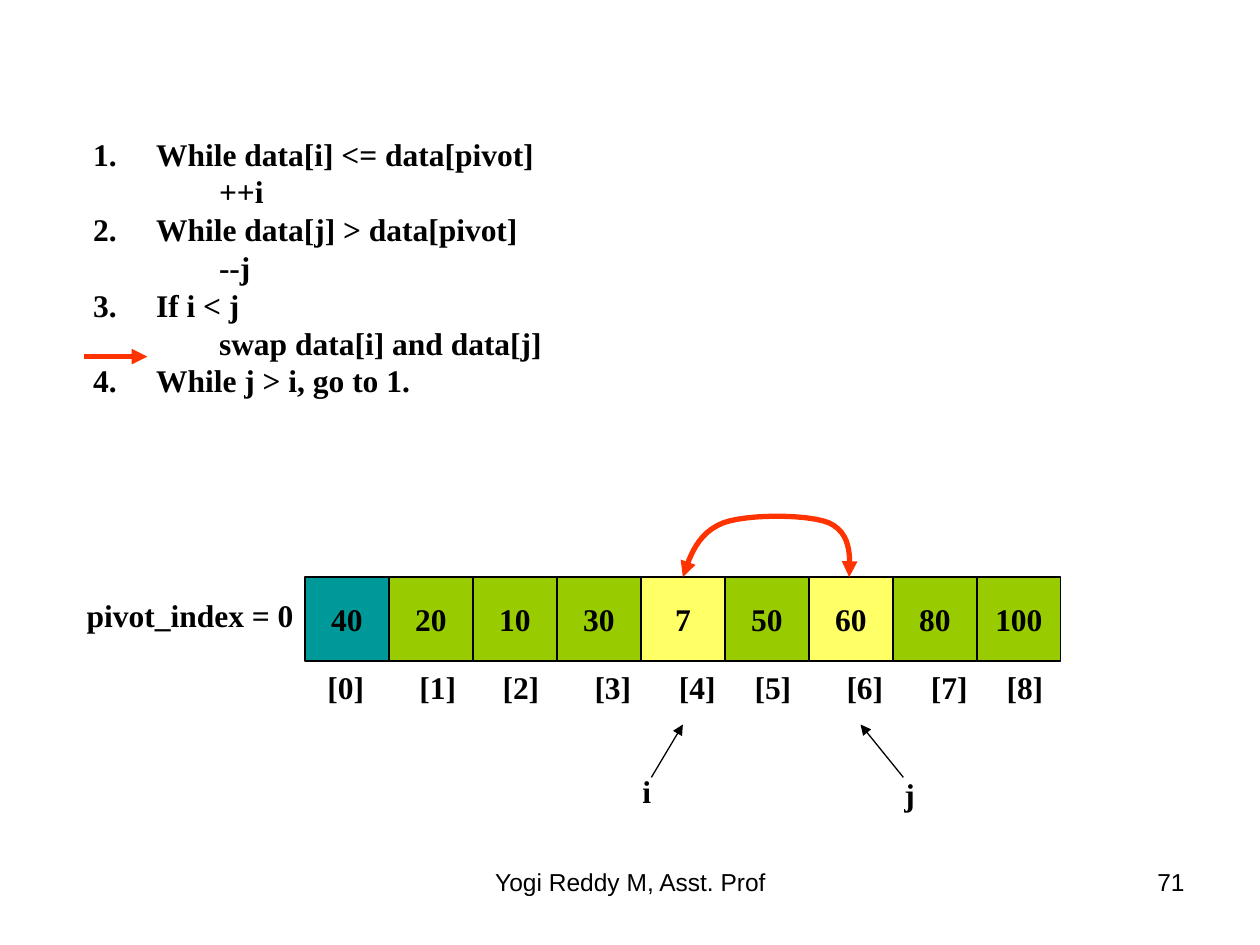
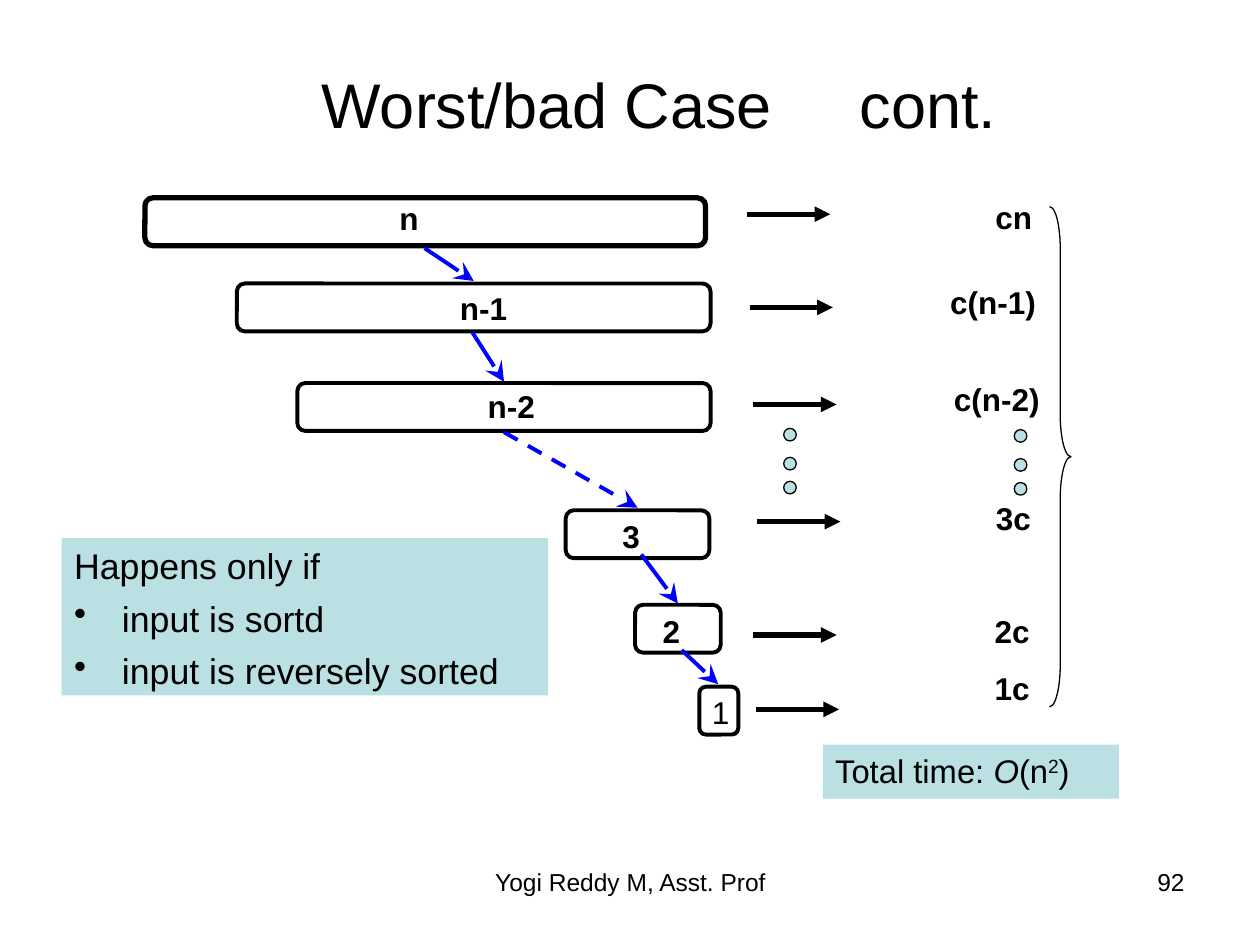
"""Build two quicksort slides: a partition step and the worst-case cost."""
import dataclasses

import lxml.etree
import pptx
import pptx.dml.color
import pptx.enum.dml
import pptx.enum.shapes
import pptx.enum.text
import pptx.oxml.ns
import pptx.util

Inches = pptx.util.Inches
Pt = pptx.util.Pt
RGBColor = pptx.dml.color.RGBColor
ALIGN = pptx.enum.text.PP_ALIGN
ANCHOR = pptx.enum.text.MSO_ANCHOR
SHAPE = pptx.enum.shapes.MSO_SHAPE
qn = pptx.oxml.ns.qn


@dataclasses.dataclass(frozen=True)
class Theme:
    """Colours, fonts and type sizes."""
    black: str = "000000"
    pivot: str = "009999"
    cell: str = "99CC00"
    swapped: str = "FFFF66"
    red: str = "FF3300"
    blue: str = "0000FF"
    pale: str = "BBE0E3"
    sans: str = "Arial"
    serif: str = "Times New Roman"
    title_size: float = 36
    note_size: float = 20.4
    total_size: float = 18.7
    body_size: float = 18
    footer_size: float = 14


theme = Theme()


def add_box(slide, lines, at, size=theme.body_size, font=theme.sans, bold=False,
            align=ALIGN.LEFT, anchor=ANCHOR.TOP, kind=None, fill=None, line=None,
            wrap=True, inset=(0.1, 0.05)):
    """Add a text box, or a preset shape when kind is given."""
    area = [Inches(value) for value in at]
    if kind is None:
        shape = slide.shapes.add_textbox(*area)
    else:
        shape = slide.shapes.add_shape(kind, *area)
        shape.shadow.inherit = False
        if fill:
            shape.fill.solid()
            shape.fill.fore_color.rgb = RGBColor.from_string(fill)
        else:
            shape.fill.background()
        if line:
            shape.line.color.rgb = RGBColor.from_string(theme.black)
            shape.line.width = Pt(line)
        else:
            shape.line.fill.background()
    frame = shape.text_frame
    frame.word_wrap = wrap
    frame.vertical_anchor = anchor
    frame.margin_left = frame.margin_right = Inches(inset[0])
    frame.margin_top = frame.margin_bottom = Inches(inset[1])
    for index, (text, bullet, indent) in enumerate(lines):
        paragraph = frame.paragraphs[0] if index == 0 else frame.add_paragraph()
        paragraph.text = text
        paragraph.alignment = align
        properties = paragraph._p.get_or_add_pPr()
        properties.set("marL", str(Inches(indent)))
        properties.set("indent", str(-Inches(indent) if bullet else 0))
        if isinstance(bullet, int):
            lxml.etree.SubElement(properties, qn("a:buAutoNum"), type="arabicPeriod",
                                  startAt=str(bullet))
        elif bullet:
            lxml.etree.SubElement(properties, qn("a:buChar"), char=bullet)
        else:
            lxml.etree.SubElement(properties, qn("a:buNone"))
        paragraph.font.size = Pt(size)
        paragraph.font.name = font
        paragraph.font.bold = bold
        paragraph.font.color.rgb = RGBColor.from_string(theme.black)
    return shape


def add_arrow(slide, points, color, width, tip="triangle", tip_size="med",
              both_ends=False, dashed=False):
    """Add an arrow through the points: straight for two, else a freeform."""
    points = [(Inches(x), Inches(y)) for x, y in points]
    if len(points) == 2:
        arrow = slide.shapes.add_connector(
            pptx.enum.shapes.MSO_CONNECTOR.STRAIGHT, *points[0], *points[1])
    else:
        builder = slide.shapes.build_freeform(*points[0])
        builder.add_line_segments(points[1:], close=False)
        arrow = builder.convert_to_shape()
        arrow.fill.background()
    arrow.line.color.rgb = RGBColor.from_string(color)
    arrow.line.width = Pt(width)
    if dashed:
        arrow.line.dash_style = pptx.enum.dml.MSO_LINE.DASH
    outline = arrow.line._get_or_add_ln()
    for end in ("a:headEnd", "a:tailEnd") if both_ends else ("a:tailEnd",):
        lxml.etree.SubElement(outline, qn(end), type=tip, w=tip_size, len=tip_size)
    lxml.etree.SubElement(arrow._element.spPr, qn("a:effectLst"))


presentation = pptx.Presentation()
presentation.slide_width = Inches(10)
presentation.slide_height = Inches(7.5)
partition_slide, worst_slide = [
    presentation.slides.add_slide(presentation.slide_layouts[6]) for _ in range(2)]
for slide, number in ((partition_slide, "71"), (worst_slide, "92")):
    add_box(slide, [("Yogi Reddy M, Asst. Prof", None, 0)], (3.42, 6.83, 3.17, 0.52),
            theme.footer_size, align=ALIGN.CENTER)
    add_box(slide, [(number, None, 0)], (7.17, 6.83, 2.33, 0.52),
            theme.footer_size, align=ALIGN.RIGHT)

steps = [
    ("While data[i] <= data[pivot]", 1, 0.5),
    ("++i", None, 1),
    ("While data[j] > data[pivot]", 2, 0.5),
    ("--j", None, 1),
    ("If i < j", 3, 0.5),
    ("swap data[i] and data[j]", None, 1),
    ("While j > i, go to 1.", 4, 0.5),
]
add_box(partition_slide, steps, (0.64, 1.02, 4.76, 3.1), font=theme.serif, bold=True)

cell_size = 2 / 3
cell_fills = {0: theme.pivot, 4: theme.swapped, 6: theme.swapped}
values = [40, 20, 10, 30, 7, 50, 60, 80, 100]
index_lefts = [2.5, 3.23, 3.89, 4.62, 5.29, 5.89, 6.62, 7.29, 7.89]
for index, (value, index_left) in enumerate(zip(values, index_lefts)):
    add_box(partition_slide, [(str(value), None, 0)],
            (2.42 + index * cell_size, 4.58, cell_size, cell_size), font=theme.serif,
            bold=True, align=ALIGN.CENTER, anchor=ANCHOR.MIDDLE, kind=SHAPE.RECTANGLE,
            fill=cell_fills.get(index, theme.cell), line=0.75, wrap=False)
    add_box(partition_slide, [(f"[{index}]", None, 0)], (index_left, 5.25, 0.49, 0.4),
            font=theme.serif, bold=True, wrap=False)

for text, at in (
    ("pivot_index = 0", (0.59, 4.68, 1.84, 0.4)),
    ("i", (5, 6.08, 0.42, 0.4)),
    ("j", (7.08, 6.1, 0.33, 0.4)),
):
    add_box(partition_slide, [(text, None, 0)], at, font=theme.serif, bold=True, wrap=False)

add_arrow(partition_slide, [(7.17, 6.17), (6.83, 5.75)], theme.black, 0.75)
add_arrow(partition_slide, [(5.17, 6.17), (5.42, 5.75)], theme.black, 0.75)
add_arrow(partition_slide, [(0.67, 2.83), (1.17, 2.83)], theme.red, 3)

swap_curves = [
    ((5.42, 4.58), (5.48, 4.4), (5.54, 4.23), (5.74, 4.15)),
    ((5.74, 4.15), (5.93, 4.08), (6.41, 4.08), (6.58, 4.15)),
    ((6.58, 4.15), (6.75, 4.23), (6.75, 4.4), (6.74, 4.58)),
]
swap_points = [swap_curves[0][0]]
for curve in swap_curves:
    for step in range(1, 13):
        t = step / 12
        weights = ((1 - t) ** 3, 3 * t * (1 - t) ** 2, 3 * t ** 2 * (1 - t), t ** 3)
        swap_points.append(tuple(
            sum(weight * point[axis] for weight, point in zip(weights, curve))
            for axis in (0, 1)))
add_arrow(partition_slide, swap_points, theme.red, 3, both_ends=True)

title = add_box(worst_slide, [("Worst/bad Case", None, 0)], (1.09, 0.39, 8.28, 0.78),
                theme.title_size, align=ALIGN.CENTER, anchor=ANCHOR.BOTTOM)
gap, continuation = [title.text_frame.paragraphs[0].add_run() for _ in range(2)]
gap.text = " "
gap._r.get_or_add_rPr().set("spc", "4000")
continuation.text = "cont."

calls = [
    ("n", (1.15, 1.57, 4.45), (3.17, 1.58), 3, True),
    ("n-1", (1.88, 2.25, 3.76), (3.65, 2.29), 2.25, True),
    ("n-2", (2.36, 3.04, 3.28), (3.87, 3.07), 2.25, True),
    ("3", (4.49, 4.05, 1.14), (4.94, 4.1), 2.25, True),
    ("2", (5.04, 4.8, 0.68), (5.26, 4.86), 2.25, True),
    ("1", (5.55, 5.45, 0.31), (5.65, 5.5), 2.25, False),
]
for text, bar, label, line, bold in calls:
    add_box(worst_slide, [], (*bar, 0.38), kind=SHAPE.ROUNDED_RECTANGLE, line=line)
    add_box(worst_slide, [(text, None, 0)], (*label, 0.56, 0.3), bold=bold,
            wrap=False, inset=(0, 0))

for start, end, dashed in (
    ((3.37, 1.97), (3.76, 2.23), False),
    ((3.75, 2.64), (4, 3.03), False),
    ((4, 3.43), (5.06, 4.03), True),
    ((5.09, 4.4), (5.38, 4.79), False),
    ((5.41, 5.16), (5.7, 5.43), False),
):
    add_arrow(worst_slide, [start, end], theme.blue, 2.25, "stealth", "lg", dashed=dashed)

costs = [
    ("cn", (6.81, 1.52, 1.48), (5.93, 1.7)),
    ("c(n-1)", (7.44, 2.2, 0.88), (5.95, 2.44)),
    ("c(n-2)", (7.47, 2.97, 0.88), (5.98, 3.21)),
    ("3c", (7.8, 3.91, 0.48), (6.01, 4.14)),
    ("2c", (7.79, 4.81, 0.48), (5.98, 5.04)),
    ("1c", (7.79, 5.26, 0.48), (6, 5.63)),
]
for text, label, (x, y) in costs:
    add_arrow(worst_slide, [(x, y), (x + 0.66, y)], theme.black, 3)
    add_box(worst_slide, [(text, None, 0)], (*label, 0.4), bold=True,
            align=ALIGN.RIGHT, wrap=text == "cn")

for left, top in ((6.22, 3.4), (8.05, 3.41)):
    for offset in (0, 0.23, 0.42):
        add_box(worst_slide, [], (left, top + offset, 0.1, 0.1), kind=SHAPE.OVAL,
                fill=theme.pale, line=0.75)

brace = add_box(worst_slide, [], (8.33, 1.64, 0.17, 3.97), kind=SHAPE.RIGHT_BRACE, line=0.75)
brace.adjustments[0] = 1.95

conditions = [
    ("Happens only if", None, 0),
    ("input is sortd", "•", 0.38),
    ("input is reversely sorted", "•", 0.38),
]
note = add_box(worst_slide, conditions, (0.49, 4.27, 3.86, 1.25), theme.note_size,
               kind=SHAPE.RECTANGLE, fill=theme.pale)
for paragraph in note.text_frame.paragraphs[1:]:
    paragraph.space_before = Pt(5.5)

total = add_box(worst_slide, [("Total time: ", None, 0)], (6.53, 5.91, 2.35, 0.43),
                theme.total_size, kind=SHAPE.RECTANGLE, fill=theme.pale)
order, opening, exponent, closing = [
    total.text_frame.paragraphs[0].add_run() for _ in range(4)]
for run, text in ((order, "O"), (opening, "(n"), (exponent, "2"), (closing, ")")):
    run.text = text
order.font.italic = True
exponent._r.get_or_add_rPr().set("baseline", "30000")

presentation.save("out.pptx")
